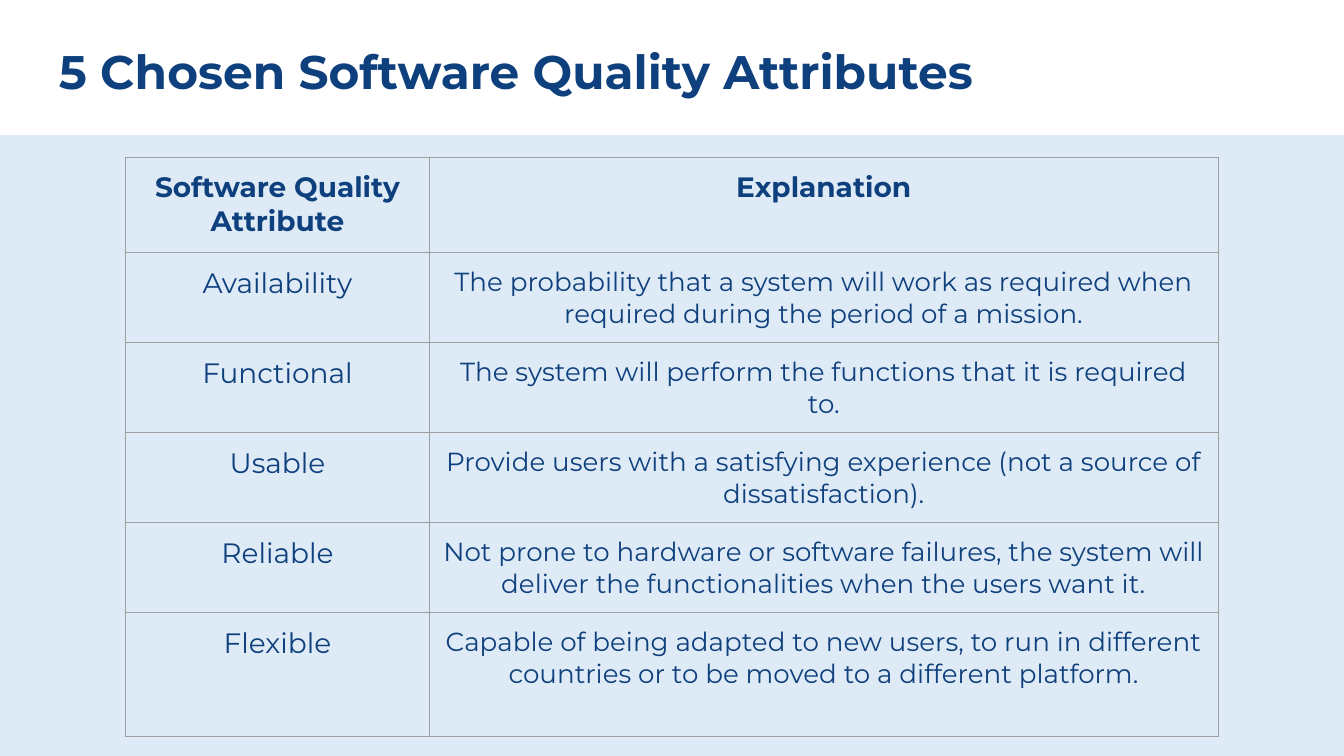
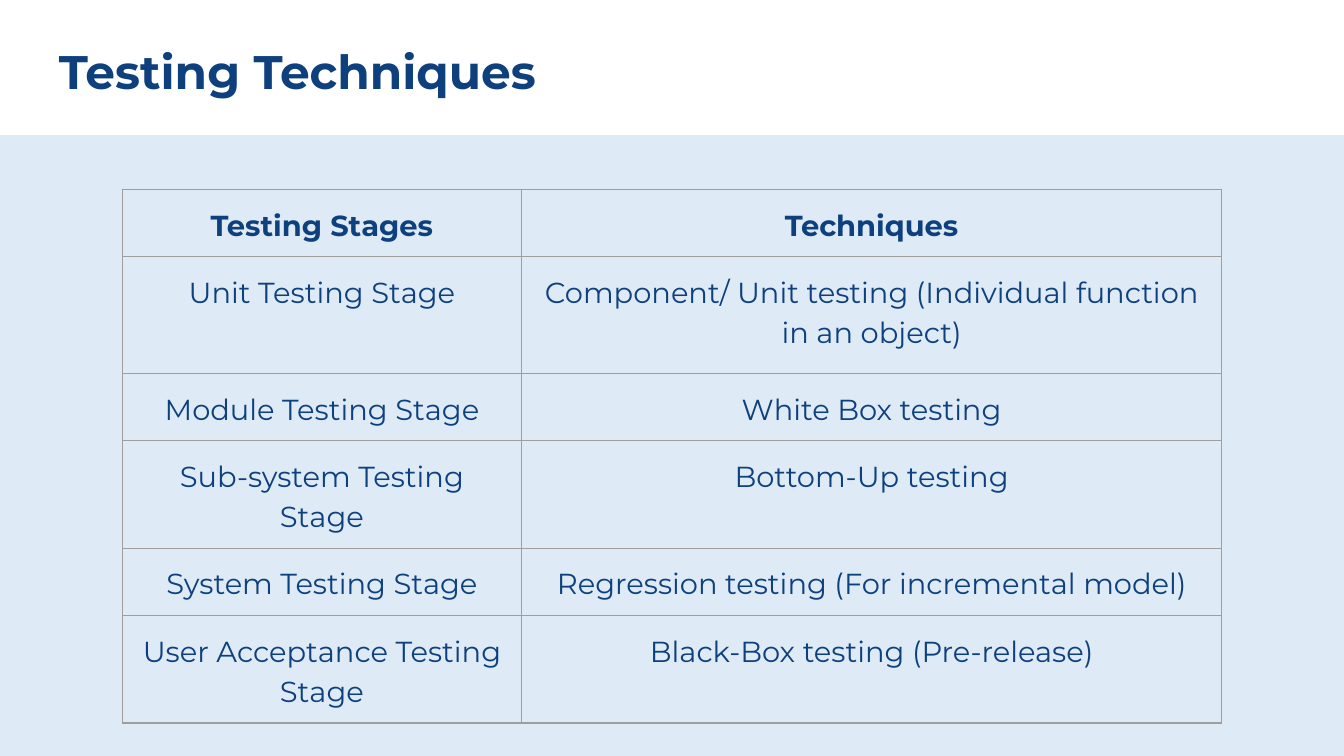
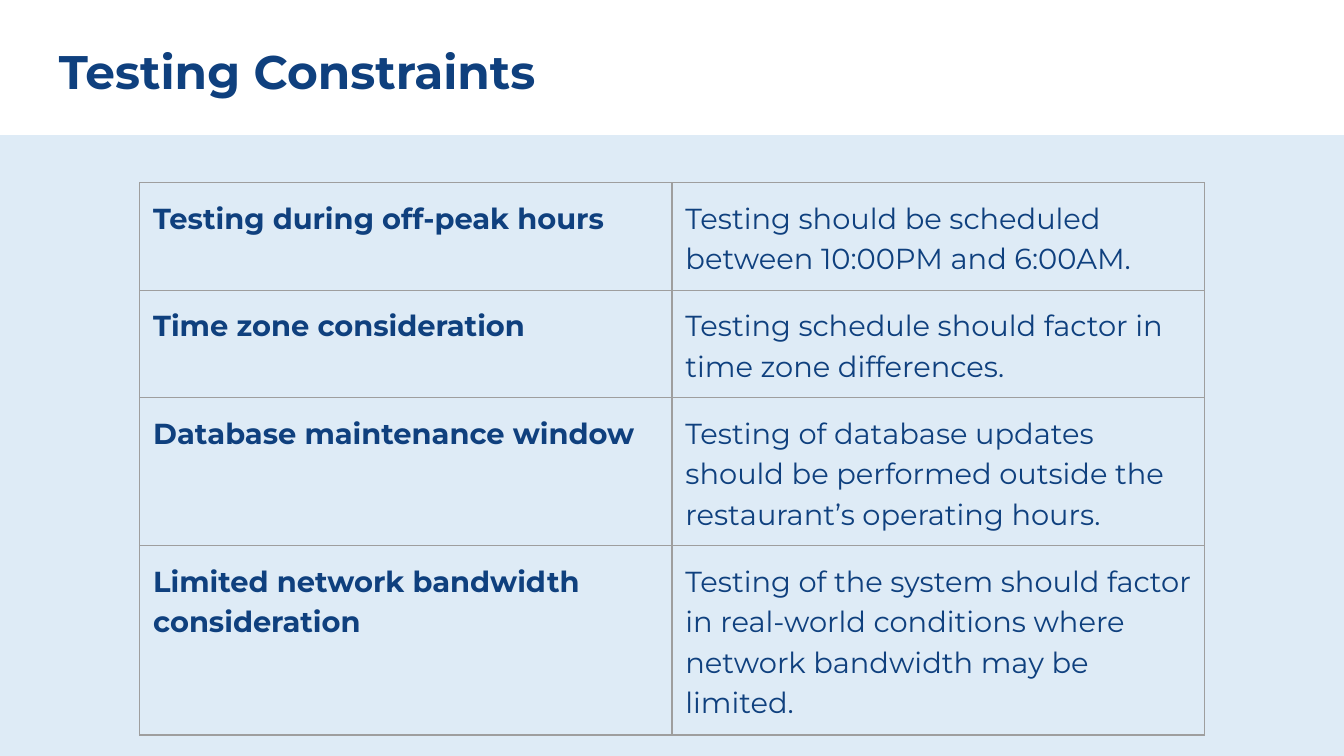
"""Build three slides on software quality attributes and testing, each a title over a table."""
from lxml import etree
from pptx import Presentation
from pptx.dml.color import RGBColor
from pptx.enum.shapes import MSO_SHAPE
from pptx.enum.text import MSO_ANCHOR, PP_ALIGN
from pptx.oxml.ns import qn
from pptx.util import Inches, Pt

RECTANGLE = MSO_SHAPE.RECTANGLE
MIDDLE = MSO_ANCHOR.MIDDLE
LEFT, CENTER = PP_ALIGN.LEFT, PP_ALIGN.CENTER

NAVY = RGBColor(0x0F, 0x40, 0x7E)
PALE_BLUE = RGBColor(0xCF, 0xE2, 0xF3)
GREY = RGBColor(0x9E, 0x9E, 0x9E)
FONT = "Montserrat"

SLIDE_W = 10
SLIDE_H = SLIDE_W * 9 / 16
BAND_H = 4.62
BAND_OPACITY = 68
TITLE_LEFT, TITLE_TOP, TITLE_H = 0.34, 0.21, 0.63
TITLE_SIZE = 25.2
INSET = 0.1
BORDER_WIDTH = 0.75

SLIDES = [
    {
        "title": "5 Chosen Software Quality Attributes",
        "top": 1.17,
        "columns": [2.26, 5.87],
        "heights": [0.71, 0.67, 0.67, 0.67, 0.67, 0.92],
        "sizes": [15, 14],
        "heading_size": 15,
        "headings": "row",
        "align": CENTER,
        "spaced": False,
        "rows": [
            ("Software Quality Attribute", "Explanation"),
            ("Availability", "The probability that a system will work as required when "
                             "required during the period of a mission."),
            ("Functional", "The system will perform the functions that it is required to."),
            ("Usable", "Provide users with a satisfying experience (not a source of "
                       "dissatisfaction)."),
            ("Reliable", "Not prone to hardware or software failures, the system will "
                         "deliver the functionalities when the users want it."),
            ("Flexible", "Capable of being adapted to new users, to run in different "
                         "countries or to be moved to a different platform."),
        ],
    },
    {
        "title": "Testing Techniques",
        "top": 1.41,
        "columns": [2.97, 5.21],
        "heights": [0.5, 0.87, 0.5, 0.8, 0.5, 0.8],
        "sizes": [15.5, 15.5],
        "heading_size": 15.5,
        "headings": "row",
        "align": CENTER,
        "spaced": True,
        "rows": [
            ("Testing Stages", "Techniques"),
            ("Unit Testing Stage", "Component/ Unit testing (Individual function in an object)"),
            ("Module Testing Stage", "White Box testing"),
            ("Sub-system Testing Stage", "Bottom-Up testing"),
            ("System Testing Stage", "Regression testing (For incremental model)"),
            ("User Acceptance Testing Stage", "Black-Box testing (Pre-release)"),
        ],
    },
    {
        "title": "Testing Constraints",
        "top": 1.36,
        "columns": [3.96, 3.96],
        "heights": [0.8, 0.8, 1.1, 1.41],
        "sizes": [15.5, 15.5],
        "heading_size": 15.5,
        "headings": "column",
        "align": LEFT,
        "spaced": True,
        "rows": [
            ("Testing during off-peak hours",
             "Testing should be scheduled between 10:00PM and 6:00AM."),
            ("Time zone consideration",
             "Testing schedule should factor in time zone differences."),
            ("Database maintenance window",
             "Testing of database updates should be performed outside the "
             "restaurant’s operating hours."),
            ("Limited network bandwidth consideration",
             "Testing of the system should factor in real-world conditions where "
             "network bandwidth may be limited."),
        ],
    },
]


def set_font(paragraph, size, bold):
    font = paragraph.font
    font.name, font.size, font.bold = FONT, Pt(size), bold
    font.color.rgb = NAVY


def add_band(slide):
    band = slide.shapes.add_shape(RECTANGLE, 0, Inches(SLIDE_H - BAND_H), Inches(SLIDE_W),
                                  Inches(BAND_H))
    band.shadow.inherit = False
    band.line.fill.background()
    band.fill.solid()
    band.fill.fore_color.rgb = PALE_BLUE
    color = band.fill._xPr.find(qn("a:solidFill"))[0]
    etree.SubElement(color, qn("a:alpha"), val=str(BAND_OPACITY * 1000))


def add_title(slide, title):
    box = slide.shapes.add_textbox(Inches(TITLE_LEFT), Inches(TITLE_TOP),
                                   Inches(SLIDE_W - 2 * TITLE_LEFT), Inches(TITLE_H))
    frame = box.text_frame
    frame.word_wrap = True
    frame.vertical_anchor = MIDDLE
    frame.margin_left = frame.margin_right = Inches(INSET)
    frame.margin_top = frame.margin_bottom = Inches(INSET)
    frame.text = title
    set_font(frame.paragraphs[0], TITLE_SIZE, True)


def outline(cell):
    properties = cell._tc.get_or_add_tcPr()
    for side in ("lnL", "lnR", "lnT", "lnB"):
        edge = etree.SubElement(properties, qn(f"a:{side}"), w=str(Pt(BORDER_WIDTH)))
        fill = etree.SubElement(edge, qn("a:solidFill"))
        etree.SubElement(fill, qn("a:srgbClr"), val=str(GREY))


def fill_cell(cell, words, size, bold, content):
    cell.margin_left = cell.margin_right = Inches(INSET)
    cell.margin_top = cell.margin_bottom = Inches(INSET)
    outline(cell)
    cell.fill.background()
    cell.text = words
    paragraph = cell.text_frame.paragraphs[0]
    paragraph.alignment = content["align"]
    if content["spaced"]:
        paragraph.line_spacing = 1.15
        paragraph.space_after = Pt(10)
    set_font(paragraph, size, bold)


def add_grid(slide, content):
    rows, columns, heights = content["rows"], content["columns"], content["heights"]
    width = sum(columns)
    table = slide.shapes.add_table(len(rows), len(columns), Inches((SLIDE_W - width) / 2),
                                   Inches(content["top"]), Inches(width),
                                   Inches(sum(heights))).table
    table.first_row = table.horz_banding = False
    for column, column_width in zip(table.columns, columns):
        column.width = Inches(column_width)
    for row, height in zip(table.rows, heights):
        row.height = Inches(height)
    for r, row in enumerate(rows):
        for c, words in enumerate(row):
            heading = (r if content["headings"] == "row" else c) == 0
            size = content["heading_size"] if heading else content["sizes"][c]
            fill_cell(table.cell(r, c), words, size, heading, content)


def main():
    deck = Presentation()
    deck.slide_width, deck.slide_height = Inches(SLIDE_W), Inches(SLIDE_H)
    blank = deck.slide_layouts[6]
    for content in SLIDES:
        slide = deck.slides.add_slide(blank)
        add_band(slide)
        add_title(slide, content["title"])
        add_grid(slide, content)
    deck.save("out.pptx")


if __name__ == "__main__":
    main()
